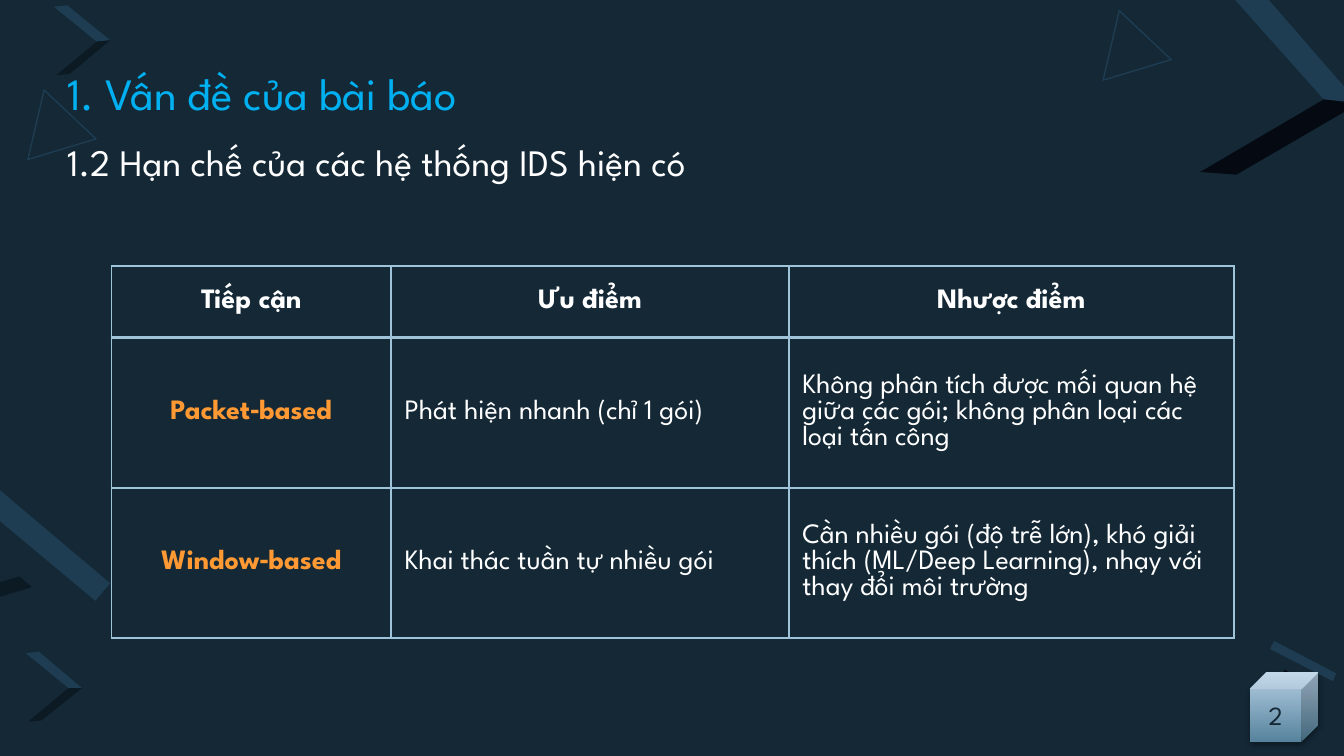
from dataclasses import dataclass

from lxml import etree
from pptx import Presentation
from pptx.dml.color import RGBColor
from pptx.enum.shapes import MSO_SHAPE
from pptx.enum.text import MSO_ANCHOR, MSO_AUTO_SIZE, PP_ALIGN
from pptx.oxml.ns import qn
from pptx.util import Pt

PX = 9144  # EMU in one px, at 100 px to the inch
LEFT, CENTER = PP_ALIGN.LEFT, PP_ALIGN.CENTER
MIDDLE = MSO_ANCHOR.MIDDLE
TRIANGLE, CUBE = MSO_SHAPE.ISOSCELES_TRIANGLE, MSO_SHAPE.CUBE


@dataclass(frozen=True)
class Theme:
    font: str = "League Spartan"
    night: str = "142836"
    steel: str = "1F3D52"
    shade: str = "0C1A23"
    ink: str = "050A12"
    white: str = "FFFFFF"
    cyan: str = "00B0F0"
    orange: str = "FF9933"
    grid: str = "9FC3D8"
    cube_bottom: str = "57839D"
    cube_top: str = "B4CFE4"
    title_size: int = 24
    subtitle_size: int = 20
    table_size: int = 15
    number_size: int = 14


THEME = Theme()

# Folded ribbons, back to front: colour, then one or more outlines
RIBBONS = [
    (THEME.steel, [[(50, 4), (40, 5), (72, 31), (82, 30)]]),
    (THEME.shade, [[(82, 30), (72, 31), (42, 56), (52, 55)]]),
    (THEME.steel, [[(960, 511), (957, 516), (974, 507), (977, 501)]]),
    (THEME.ink, [[(958, 492), (955, 498), (957, 516), (960, 511)]]),
    (THEME.night, [[(955, 498), (974, 507), (957, 516)],
                   [(945, 483), (950, 531), (992, 507)]]),
    (THEME.steel, [[(948, 477), (945, 483), (992, 507), (994, 501)]]),
    (THEME.night, [[(911, -9), (893, 128), (985, 74)]]),
    (THEME.steel, [[(938, -7), (911, -9), (985, 74), (1011, 77)]]),
    (THEME.ink, [[(1011, 77), (985, 74), (893, 128), (920, 130)]]),
    (THEME.night, [[(19, 486), (21, 537), (51, 512)]]),
    (THEME.steel, [[(29, 485), (19, 486), (51, 512), (61, 512)]]),
    (THEME.shade, [[(61, 512), (51, 512), (21, 537), (31, 536)]]),
    (THEME.shade, [[(34, 423), (-16, 438), (-26, 452), (24, 437)]]),
    (THEME.night, [[(-19, 400), (24, 437), (-26, 452)],
                   [(-38, 356), (-55, 485), (71, 447)]]),
    (THEME.steel, [[(-27, 342), (-38, 356), (71, 447), (82, 434)]]),
]

TABLE_ROWS = [
    ["Tiếp cận", "Ưu điểm", "Nhược điểm"],
    ["Packet‑based", "Phát hiện nhanh (chỉ 1 gói)",
     "Không phân tích được mối quan hệ giữa các gói; "
     "không phân loại các loại tấn công"],
    ["Window‑based", "Khai thác tuần tự nhiều gói",
     "Cần nhiều gói (độ trễ lớn), khó giải thích (ML/Deep Learning), "
     "nhạy với thay đổi môi trường"],
]


def rgb(value):
    return RGBColor.from_string(value)


def write(frame, text, *, size, color, bold=False, align=LEFT):
    para = frame.paragraphs[0]
    para.alignment = align
    span = para.add_run()
    span.text = text
    span.font.name = THEME.font
    span.font.size = Pt(size)
    span.font.bold = bold
    span.font.color.rgb = rgb(color)
    return para


class SlideBuilder:
    def __init__(self, theme, page):
        self.theme = theme
        self.page = page
        fill = page.background.fill
        fill.solid()
        fill.fore_color.rgb = rgb(theme.night)

    def ribbon(self, color, outlines):
        builder = None
        for outline in outlines:
            points = [(x * PX, y * PX) for x, y in outline]
            if builder is None:
                builder = self.page.shapes.build_freeform(*points[0], scale=1.0)
            else:
                builder.move_to(*points[0])
            builder.add_line_segments(points[1:], close=True)
        shape = builder.convert_to_shape()
        shape.shadow.inherit = False
        shape.fill.solid()
        shape.fill.fore_color.rgb = rgb(color)
        shape.line.fill.background()

    def triangle(self, left, top):
        shape = self.page.shapes.add_shape(
            TRIANGLE, left * PX, top * PX, 53 * PX, 46 * PX)
        shape.rotation = 343.2
        shape.shadow.inherit = False
        shape.fill.background()
        shape.line.color.rgb = rgb(self.theme.steel)
        shape.line.width = Pt(0.75)

    def heading(self, box, text, top, width, **style):
        """Place a placeholder in front of the ribbons as an unbulleted line."""
        self.page.shapes._spTree.append(box._element)
        box.left, box.top = 40 * PX, top * PX
        box.width, box.height = width * PX, 32 * PX
        frame = box.text_frame
        frame.word_wrap = True
        frame.auto_size = MSO_AUTO_SIZE.NONE
        frame.vertical_anchor = MIDDLE
        frame.margin_left = frame.margin_right = 10 * PX
        frame.margin_top = frame.margin_bottom = 10 * PX
        para = write(frame, text, **style)
        para.space_before = Pt(0)
        props = para._p.get_or_add_pPr()
        props.set("marL", "0")
        props.set("indent", "0")
        etree.SubElement(props, qn("a:buNone"))

    def borders(self, cell, **widths):
        props = cell._tc.get_or_add_tcPr()
        for index, side in enumerate(("L", "R", "T", "B")):
            line = etree.Element(qn(f"a:ln{side}"), w=str(Pt(widths.get(side, 1))))
            fill = etree.SubElement(line, qn("a:solidFill"))
            etree.SubElement(fill, qn("a:srgbClr"), val=self.theme.grid)
            props.insert(index, line)

    def table(self, left, top, columns, heights, rows):
        theme = self.theme
        table = self.page.shapes.add_table(
            len(rows), len(columns), left * PX, top * PX,
            sum(columns) * PX, sum(heights) * PX).table
        for column, width in zip(table.columns, columns):
            column.width = width * PX
        for r, (texts, height) in enumerate(zip(rows, heights)):
            table.rows[r].height = height * PX
            for c, text in enumerate(texts):
                cell = table.cell(r, c)
                cell.fill.background()
                cell.vertical_anchor = MIDDLE
                label = r == 0 or c == 0
                write(cell.text_frame, text, size=theme.table_size, bold=label,
                      color=theme.orange if r and c == 0 else theme.white,
                      align=CENTER if label else LEFT)
                self.borders(cell, T=2 if r == 1 else 1, B=2 if r == 0 else 1)

    def page_cube(self, left, top, text):
        theme = self.theme
        cube = self.page.shapes.add_shape(
            CUBE, left * PX, top * PX, 51 * PX, 52 * PX)
        cube.line.fill.background()
        cube.fill.gradient()
        cube.fill.gradient_angle = 90
        for stop, color in zip(cube.fill.gradient_stops,
                               (theme.cube_bottom, theme.cube_top)):
            stop.color.rgb = rgb(color)
        cube.shadow.inherit = False
        effects = cube._element.spPr.find(qn("a:effectLst"))
        shadow = etree.SubElement(
            effects, qn("a:outerShdw"), blurRad=str(Pt(3.1)),
            dist=str(Pt(1.8)), dir="5400000", rotWithShape="0")
        tint = etree.SubElement(shadow, qn("a:srgbClr"), val="000000")
        etree.SubElement(tint, qn("a:alpha"), val="35000")
        frame = cube.text_frame
        frame.vertical_anchor = MIDDLE
        frame.margin_left = frame.margin_right = 0
        frame.margin_top = frame.margin_bottom = 0
        write(frame, text, size=theme.number_size, color=theme.night, align=CENTER)


def main():
    deck = Presentation()
    deck.slide_width = 1000 * PX
    deck.slide_height = deck.slide_width * 9 // 16
    page = deck.slides.add_slide(deck.slide_layouts[1])
    title, body = page.placeholders
    builder = SlideBuilder(THEME, page)

    for color, outlines in RIBBONS:
        builder.ribbon(color, outlines)
    for left, top in ((13, 66), (813, 7)):
        builder.triangle(left, top)
    builder.heading(title, "1. Vấn đề của bài báo", 53, 450,
                    size=THEME.title_size, color=THEME.cyan)
    builder.heading(body, "1.2 Hạn chế của các hệ thống IDS hiện có", 104, 735,
                    size=THEME.subtitle_size, color=THEME.white)
    builder.table(83, 198, [208, 296, 331], [53, 112, 112], TABLE_ROWS)
    builder.page_cube(930, 500, "2")
    deck.save("out.pptx")


if __name__ == "__main__":
    main()
